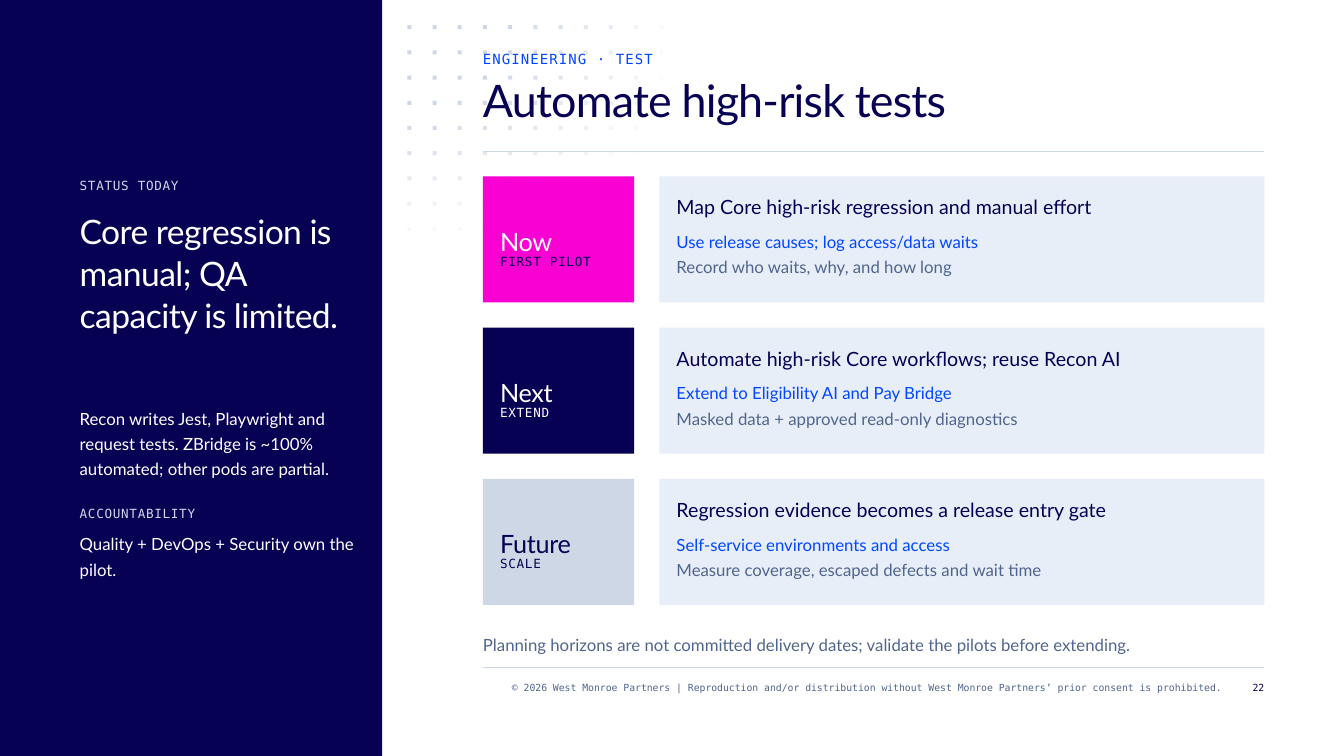
from lxml.etree import SubElement
from pptx import Presentation
from pptx.dml.color import RGBColor
from pptx.enum.shapes import MSO_CONNECTOR, MSO_SHAPE
from pptx.enum.text import MSO_ANCHOR, MSO_AUTO_SIZE, PP_ALIGN
from pptx.oxml.ns import qn
from pptx.util import Inches, Pt

NAVY, BLUE, PINK = "070154", "0047FF", "F900D3"
MIST, PALE, SLATE, WHITE = "CED7E6", "E8EEF8", "50658E", "FFFFFF"
SANS, MONO = "Lato", "DejaVu Sans Mono"

MARGIN, SIDE_WIDTH = 0.79, 2.75
LEFT, WIDTH = 4.79, 7.75
ROW_TOP, ROW_STEP, ROW_HEIGHT = 1.75, 1.5, 1.25

HORIZONS = [
    ("Now", "FIRST PILOT", PINK, WHITE, NAVY,
     "Map Core high-risk regression and manual effort",
     "Use release causes; log access/data waits",
     "Record who waits, why, and how long"),
    ("Next", "EXTEND", NAVY, WHITE, WHITE,
     "Automate high-risk Core workflows; reuse Recon AI",
     "Extend to Eligibility AI and Pay Bridge",
     "Masked data + approved read-only diagnostics"),
    ("Future", "SCALE", MIST, NAVY, NAVY,
     "Regression evidence becomes a release entry gate",
     "Self-service environments and access",
     "Measure coverage, escaped defects and wait time"),
]


def color(value):
    return RGBColor.from_string(value)


class SlideBuilder:
    def __init__(self, deck):
        self.page = deck.slides.add_slide(deck.slide_layouts[5])
        self.shapes = self.page.shapes

    def block(self, left, top, width, height, fill, opacity=100):
        box = self.shapes.add_shape(MSO_SHAPE.RECTANGLE, Inches(left), Inches(top),
                                    Inches(width), Inches(height))
        box.shadow.inherit = False
        box.line.fill.background()
        box.fill.solid()
        box.fill.fore_color.rgb = color(fill)
        if opacity < 100:
            fill_color = box.element.spPr.find(".//" + qn("a:srgbClr"))
            SubElement(fill_color, qn("a:alpha"), val=str(opacity * 1000))

    def rule(self, left, top, width):
        line = self.shapes.add_connector(MSO_CONNECTOR.STRAIGHT, Inches(left), Inches(top),
                                         Inches(left + width), Inches(top))
        line.line.color.rgb = color(MIST)
        line.line.width = Pt(0.75)
        SubElement(line.element.spPr, qn("a:effectLst"))

    def text(self, left, top, width, height, words, **style):
        box = self.shapes.add_textbox(Inches(left), Inches(top), Inches(width), Inches(height))
        self.set_words(box, words, **style)

    def title(self, left, top, width, height, words, **style):
        """Place the title placeholder in front of everything drawn so far."""
        box = self.shapes.title
        box.left, box.top = Inches(left), Inches(top)
        box.width, box.height = Inches(width), Inches(height)
        self.set_words(box, words, **style)
        box.element.getparent().append(box.element)

    def set_words(self, box, words, size, leading, fill, font=SANS, tracking=0,
                  align=PP_ALIGN.LEFT):
        """Fill a box with one paragraph; leading and tracking are in points."""
        frame = box.text_frame
        frame.word_wrap = True
        frame.auto_size = MSO_AUTO_SIZE.NONE
        frame.vertical_anchor = MSO_ANCHOR.TOP
        frame.margin_left = frame.margin_right = frame.margin_top = frame.margin_bottom = 0
        para = frame.paragraphs[0]
        para.text = words
        para.alignment = align
        para.line_spacing = Pt(leading)
        para.space_before = Pt(0)
        para.font.name = font
        para.font.size = Pt(size)
        para.font.color.rgb = color(fill)
        if tracking:
            box.element.find(".//" + qn("a:defRPr")).set("spc", str(round(tracking * 100)))

    def label(self, left, top, width, words, fill):
        self.text(left, top, width, 0.17, words, size=9, leading=12, fill=fill,
                  font=MONO, tracking=0.5)

    def body(self, left, top, width, height, words, fill):
        self.text(left, top, width, height, words, size=12, leading=18, fill=fill)

    def dot_grid(self):
        """Dots a quarter inch apart that fade along an ellipse from the top left."""
        for column in range(11):
            for row in range(9 if column < 4 else 7):
                distance = ((column / 11.08) ** 2 + (row / 9.07) ** 2) ** 0.5
                opacity = min(100, round(153 * (1 - distance)))
                if opacity > 0:
                    self.block(4.04 + column * 0.25, 0.25 + row * 0.25, 0.04, 0.04, MIST, opacity)

    def horizon(self, top, name, stage, fill, name_color, stage_color, heading, action, detail):
        self.block(LEFT, top, 1.5, ROW_HEIGHT, fill)
        self.text(4.96, top + 0.46, 1.17, 0.33, name, size=18, leading=24,
                  fill=name_color, tracking=-0.2)
        self.label(4.96, top + 0.75, 1.25, stage, stage_color)
        self.block(6.54, top, 6, ROW_HEIGHT, PALE)
        self.text(6.71, top + 0.13, 5.67, 0.29, heading, size=14, leading=21, fill=NAVY)
        self.body(6.71, top + 0.5, 5.67, 0.25, action, BLUE)
        self.body(6.71, top + 0.75, 5.67, 0.25, detail, SLATE)


def main():
    deck = Presentation()
    deck.slide_width, deck.slide_height = Inches(13.33), Inches(7.5)
    slide = SlideBuilder(deck)

    slide.block(0, 0, 3.79, 7.5, NAVY)
    slide.dot_grid()
    slide.rule(LEFT, 1.5, WIDTH)
    slide.rule(LEFT, 6.62, WIDTH)

    slide.text(LEFT, 0.5, WIDTH, 0.17, "ENGINEERING · TEST", size=10, leading=12,
               fill=BLUE, font=MONO, tracking=0.8)
    slide.title(LEFT, 0.75, WIDTH, 0.75, "Automate high-risk tests", size=32, leading=36,
                fill=NAVY, tracking=-0.6)

    slide.label(MARGIN, 1.75, SIDE_WIDTH, "STATUS TODAY", MIST)
    slide.text(MARGIN, 2.08, SIDE_WIDTH, 1.67, "Core regression is manual; QA capacity is limited.",
               size=24, leading=30, fill=WHITE, tracking=-0.4)
    slide.body(MARGIN, 4, SIDE_WIDTH, 0.75,
               "Recon writes Jest, Playwright and request tests. ZBridge is ~100% "
               "automated; other pods are partial.", WHITE)
    slide.label(MARGIN, 5, SIDE_WIDTH, "ACCOUNTABILITY", MIST)
    slide.body(MARGIN, 5.25, SIDE_WIDTH, 0.5, "Quality + DevOps + Security own the pilot.", WHITE)

    for index, horizon in enumerate(HORIZONS):
        slide.horizon(ROW_TOP + index * ROW_STEP, *horizon)

    slide.body(LEFT, 6.25, WIDTH, 0.25,
               "Planning horizons are not committed delivery dates; "
               "validate the pilots before extending.", SLATE)
    footer = dict(size=7, leading=9, font=MONO, align=PP_ALIGN.RIGHT)
    slide.text(LEFT, 6.75, 7.33, 0.25,
               "© 2026 West Monroe Partners | Reproduction and/or distribution without "
               "West Monroe Partners’ prior consent is prohibited.", fill=SLATE, **footer)
    slide.text(12.21, 6.75, 0.33, 0.25, "22", fill=NAVY, **footer)
    deck.save("out.pptx")


if __name__ == "__main__":
    main()
